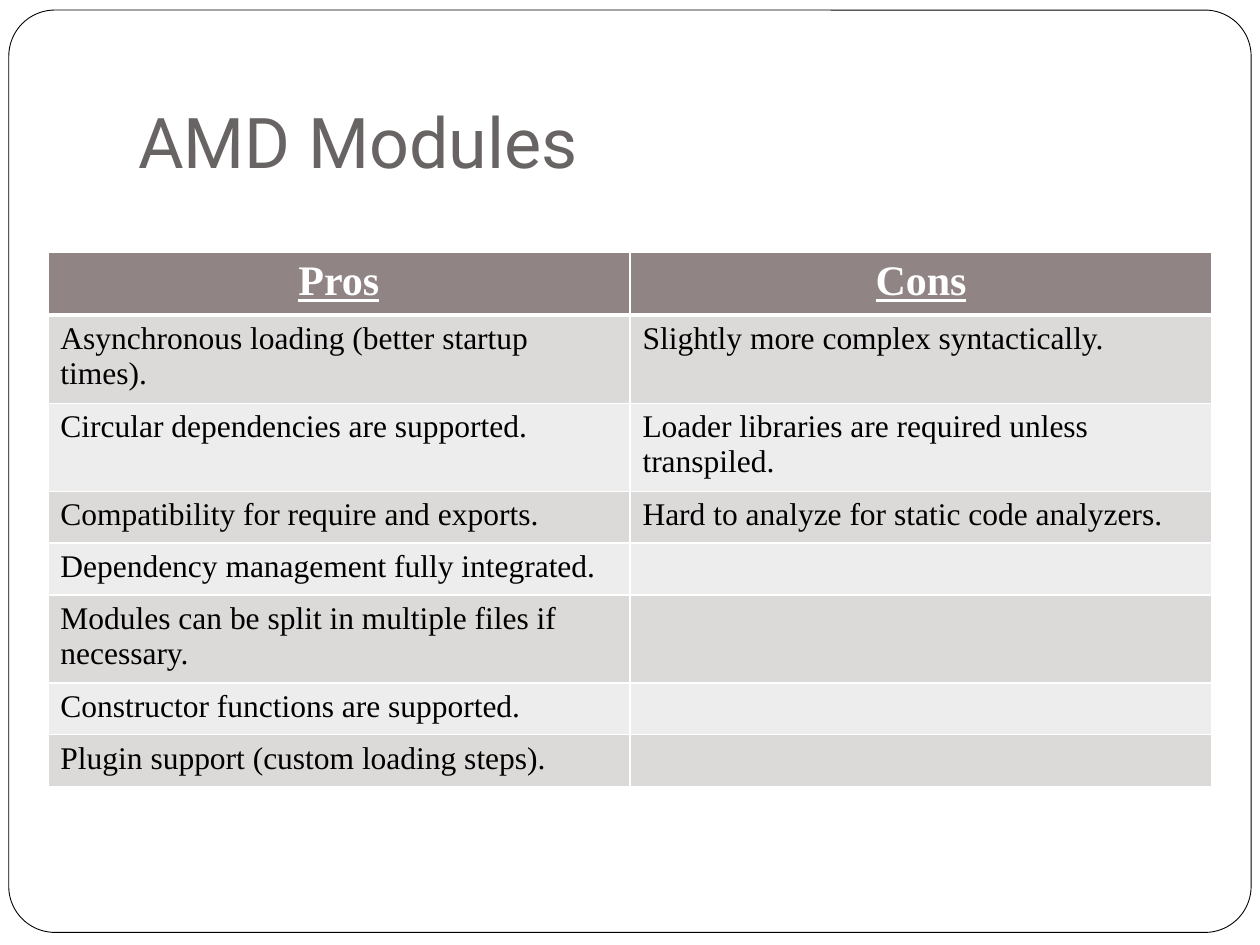
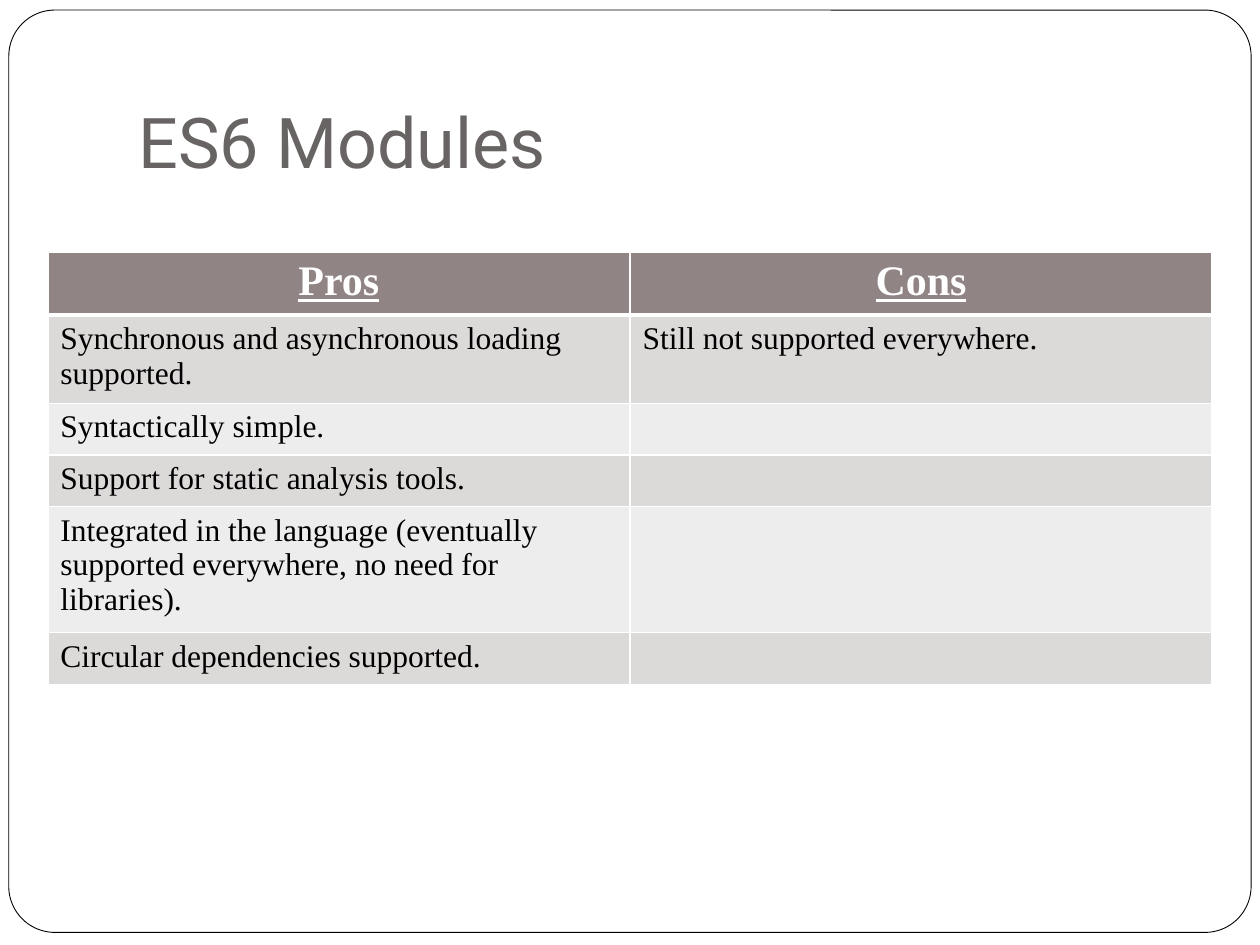
from itertools import zip_longest

from lxml import etree
from pptx import Presentation
from pptx.dml.color import RGBColor
from pptx.enum.shapes import MSO_SHAPE
from pptx.enum.text import MSO_ANCHOR, PP_ALIGN
from pptx.oxml.ns import qn
from pptx.util import Inches, Pt

ROUNDED = MSO_SHAPE.ROUNDED_RECTANGLE
BOTTOM = MSO_ANCHOR.BOTTOM
CENTER, LEFT = PP_ALIGN.CENTER, PP_ALIGN.LEFT

WHITE, BLACK = "FFFFFF", "000000"
TITLE_GREY, HEADER_FILL = "696464", "918485"
BANDS = ("DCD9D9", "EEEDED")
TITLE_FONT, TABLE_FONT = "Roboto", "Times New Roman"

HEADERS = ("Pros", "Cons")
COMPARISONS = [
    {
        "title": "AMD Modules",
        "pros": [
            "Asynchronous loading (better startup times).",
            "Circular dependencies are supported.",
            "Compatibility for\u00a0require\u00a0and\u00a0exports.",
            "Dependency management fully integrated.",
            "Modules can be split in multiple files if necessary.",
            "Constructor functions are supported.",
            "Plugin support (custom loading steps).",
        ],
        "cons": [
            "Slightly more complex syntactically.",
            "Loader libraries are required unless transpiled.",
            "Hard to analyze for static code analyzers.",
        ],
    },
    {
        "title": "ES6 Modules",
        "pros": [
            "Synchronous and asynchronous loading supported.",
            "Syntactically simple.",
            "Support for static analysis tools.",
            "Integrated in the language (eventually supported everywhere, "
            "no need for libraries).",
            "Circular dependencies supported.",
        ],
        "cons": ["Still not supported everywhere."],
    },
]

SLIDE_W, SLIDE_H = 10, 7.5
FRAME = (0.07, 0.08, 9.86, 7.32)
TITLE_BOX = (1, 0.3, 8.5, 1.25)
TABLE_LEFT, TABLE_TOP = 0.38, 2
TABLE_W = SLIDE_W - 2 * TABLE_LEFT
ROW_H = 0.41


def color(hex_value):
    return RGBColor.from_string(hex_value)


def inches(lengths):
    return [Inches(length) for length in lengths]


def style(paragraph, font_name, size, hex_value, strong=False):
    font = paragraph.font
    font.name, font.size = font_name, Pt(size)
    font.color.rgb = color(hex_value)
    font.bold = font.underline = strong


def add_frame(slide):
    frame = slide.shapes.add_shape(ROUNDED, *inches(FRAME))
    frame.adjustments[0] = 0.05
    frame.shadow.inherit = False
    frame.fill.solid()
    frame.fill.fore_color.rgb = color(WHITE)
    frame.line.color.rgb = color(BLACK)
    frame.line.width = Pt(0.5)


def add_title(slide, title):
    text = slide.shapes.add_textbox(*inches(TITLE_BOX)).text_frame
    text.word_wrap = True
    text.vertical_anchor = BOTTOM
    text.margin_bottom = Inches(0.1)
    text.text = title
    style(text.paragraphs[0], TITLE_FONT, 40, TITLE_GREY)


def add_borders(cell, top, bottom):
    properties = cell._tc.get_or_add_tcPr()
    for side, points in (("L", 1), ("R", 1), ("T", top), ("B", bottom)):
        border = etree.SubElement(properties, qn(f"a:ln{side}"), w=str(Pt(points)))
        fill = etree.SubElement(border, qn("a:solidFill"))
        etree.SubElement(fill, qn("a:srgbClr"), val=WHITE)


def add_comparison(slide, pros, cons):
    rows = [HEADERS, *zip_longest(pros, cons, fillvalue="")]
    table = slide.shapes.add_table(
        len(rows), len(HEADERS),
        *inches((TABLE_LEFT, TABLE_TOP, TABLE_W, ROW_H * len(rows))),
    ).table
    table.first_row = table.horz_banding = False
    for r, row in enumerate(rows):
        is_header = r == 0
        for c, words in enumerate(row):
            cell = table.cell(r, c)
            add_borders(cell, 3 if r == 1 else 1, 3 if is_header else 1)
            cell.fill.solid()
            cell.fill.fore_color.rgb = color(
                HEADER_FILL if is_header else BANDS[(r - 1) % len(BANDS)])
            cell.text = words
            paragraph = cell.text_frame.paragraphs[0]
            paragraph.alignment = CENTER if is_header else LEFT
            if is_header:
                style(paragraph, TABLE_FONT, 24, WHITE, strong=True)
            else:
                style(paragraph, TABLE_FONT, 18, BLACK)


deck = Presentation()
deck.slide_width, deck.slide_height = inches((SLIDE_W, SLIDE_H))
blank = deck.slide_layouts[6]
for comparison in COMPARISONS:
    slide = deck.slides.add_slide(blank)
    add_frame(slide)
    add_title(slide, comparison["title"])
    add_comparison(slide, comparison["pros"], comparison["cons"])
deck.save("out.pptx")
